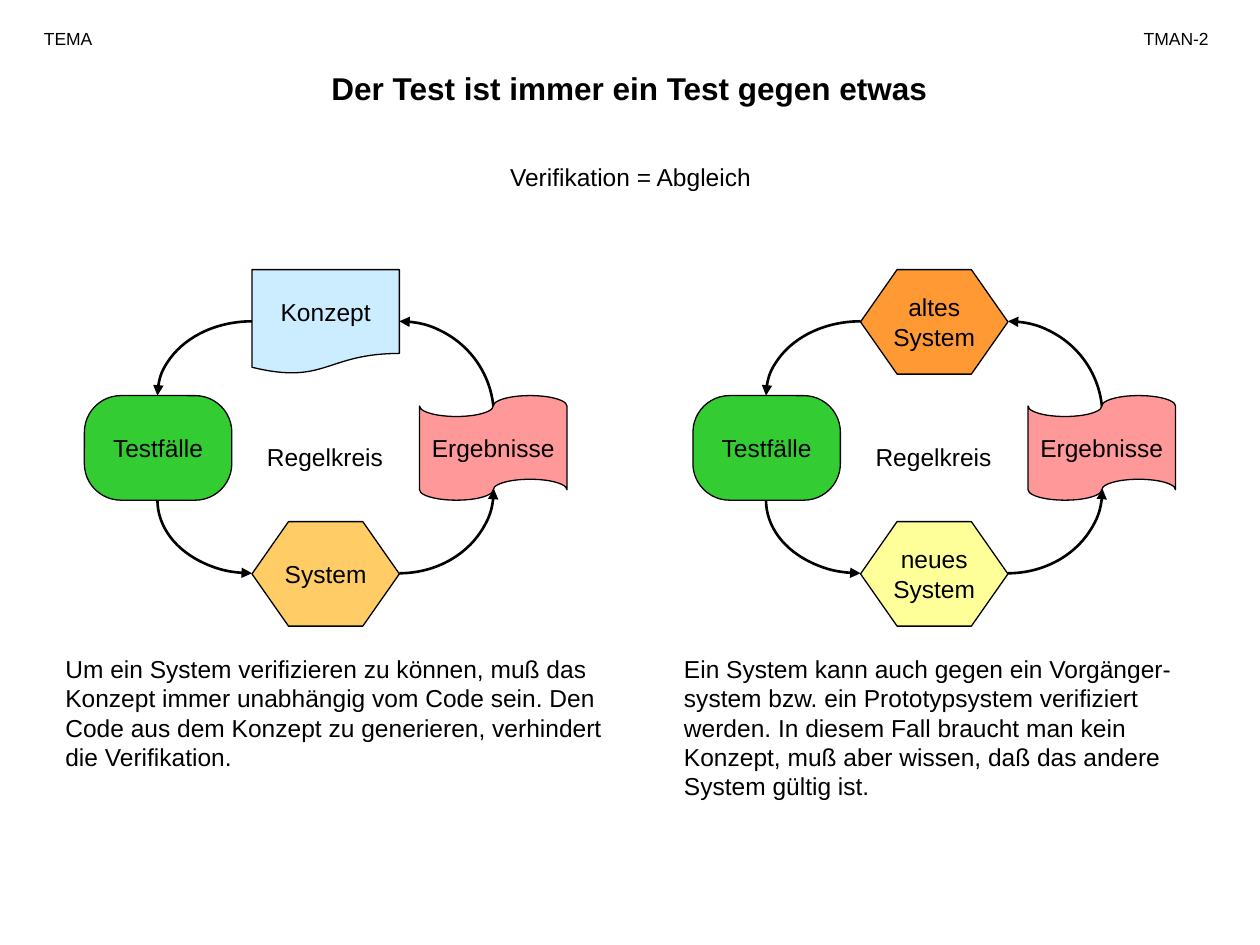
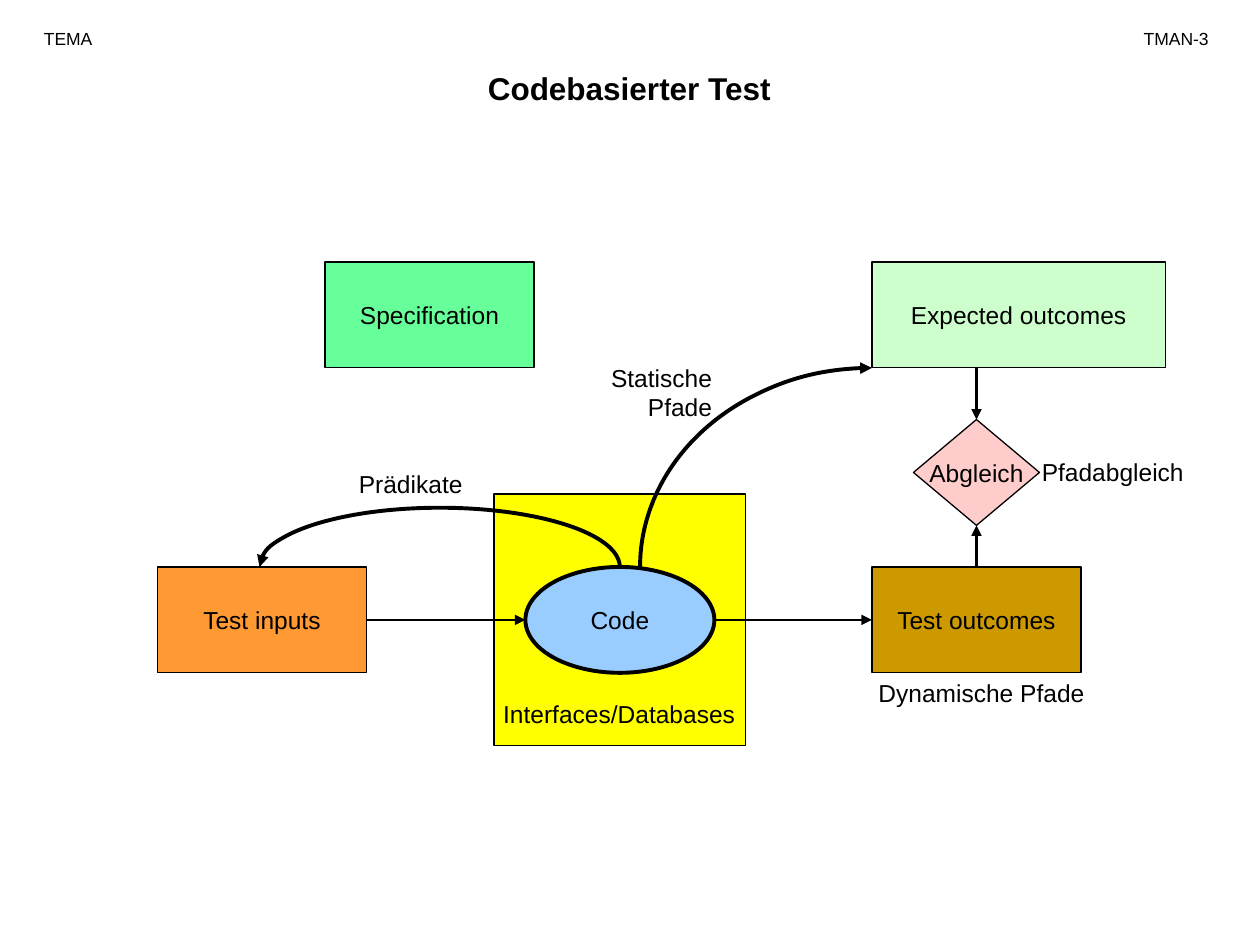
from lxml import etree
from pptx import Presentation
from pptx.dml.color import RGBColor
from pptx.enum.shapes import MSO_CONNECTOR, MSO_SHAPE
from pptx.enum.text import MSO_ANCHOR, MSO_AUTO_SIZE, PP_ALIGN
from pptx.oxml.ns import qn
from pptx.util import Inches, Pt

LEFT, CENTER, RIGHT = PP_ALIGN.LEFT, PP_ALIGN.CENTER, PP_ALIGN.RIGHT
TOP, MIDDLE = MSO_ANCHOR.TOP, MSO_ANCHOR.MIDDLE
NO_FIT = MSO_AUTO_SIZE.NONE
STRAIGHT = MSO_CONNECTOR.STRAIGHT
RECT, ELLIPSE, DIAMOND = MSO_SHAPE.RECTANGLE, MSO_SHAPE.OVAL, MSO_SHAPE.DIAMOND
HEXAGON, ROUNDED, ARC = MSO_SHAPE.HEXAGON, MSO_SHAPE.ROUNDED_RECTANGLE, MSO_SHAPE.ARC
DOCUMENT, TAPE = MSO_SHAPE.FLOWCHART_DOCUMENT, MSO_SHAPE.FLOWCHART_PUNCHED_TAPE

FONT = "Arial"
BLACK = "000000"
LOOP_BOX = (1.17, 0.83)
TEST_BOX = (1.66, 0.84)
LOOP_SHIFT = 4.83


def rgb(value):
    return RGBColor.from_string(value)


def write(tf, text, size=14, bold=False, align=CENTER, anchor=TOP, wrap=True):
    """Fill a text frame, one paragraph per line of text."""
    tf.word_wrap = wrap
    tf.auto_size = NO_FIT
    tf.vertical_anchor = anchor
    for i, line in enumerate(text.split("\n")):
        p = tf.paragraphs[0] if i == 0 else tf.add_paragraph()
        p.alignment = align
        r = p.add_run()
        r.text = line
        r.font.name, r.font.size, r.font.bold = FONT, Pt(size), bold
        r.font.color.rgb = rgb(BLACK)


def label(s, text, x, y, w, h=0.34, **fmt):
    tb = s.shapes.add_textbox(Inches(x), Inches(y), Inches(w), Inches(h))
    write(tb.text_frame, text, **fmt)


def outline(shape, width, arrow=None):
    """Black line; arrow is headEnd (at the start) or tailEnd (at the end)."""
    shape.line.color.rgb = rgb(BLACK)
    shape.line.width = Pt(width)
    if arrow:
        ln = shape.element.spPr.find(qn("a:ln"))
        etree.SubElement(ln, qn("a:" + arrow), type="triangle")


def box(s, kind, text, x, y, size, fill, line=0.75, adjust=None):
    w, h = size
    sp = s.shapes.add_shape(kind, Inches(x), Inches(y), Inches(w), Inches(h))
    sp.shadow.inherit = False
    sp.fill.solid()
    sp.fill.fore_color.rgb = rgb(fill)
    outline(sp, line)
    if adjust:
        sp.adjustments[0] = adjust
    if text:
        write(sp.text_frame, text, anchor=MIDDLE, wrap=False)
    return sp


def arc(s, cx, cy, rx, ry, start, end, width=1.5, arrow="headEnd"):
    """Clockwise elliptic arc, angles in degrees from the right."""
    sp = s.shapes.add_shape(ARC, Inches(cx - rx), Inches(cy - ry),
                            Inches(2 * rx), Inches(2 * ry))
    sp.shadow.inherit = False
    sp.fill.background()
    # Adjustments count in 100000ths, angles in 60000ths of a degree
    sp.adjustments[0], sp.adjustments[1] = start * 0.6, end * 0.6
    outline(sp, width, arrow)


def arrow(s, start, end, begin_at=None, end_at=None):
    """Straight arrow; begin_at and end_at are (shape, side) to join."""
    cn = s.shapes.add_connector(STRAIGHT, *map(Inches, start + end))
    if begin_at:
        cn.begin_connect(*begin_at)
    if end_at:
        cn.end_connect(*end_at)
    outline(cn, 1.5, "tailEnd")
    etree.SubElement(cn.element.spPr, qn("a:effectLst"))


def new_slide(prs, title, page):
    s = prs.slides.add_slide(prs.slide_layouts[5])
    t = s.shapes.title
    t.left, t.top, t.width, t.height = map(Inches, (1.33, 0.5, 7.33, 0.4))
    write(t.text_frame, title, size=18, bold=True)
    label(s, "TEMA", 0.25, 0.17, 0.92, 0.27, size=10, align=LEFT)
    label(s, page, 8.92, 0.17, 0.83, 0.27, size=10)
    return s


def control_loop(s, dx, reference, tested):
    """Four stations joined anticlockwise; the top and bottom ones vary."""
    arc(s, dx + 3.17, 3.3, 0.75, 0.75, 270, 0)
    stations = [
        (*reference, 2, 2.14),
        (*tested, 2, 4.14),
        (ROUNDED, "Testfälle", "33CC33", 0.67, 3.14),
        (TAPE, "Ergebnisse", "FF9999", 3.33, 3.14),
    ]
    for kind, text, fill, x, y in stations:
        adjust = 0.35 if kind in (HEXAGON, ROUNDED) else None
        box(s, kind, text, dx + x, y, LOOP_BOX, fill, adjust=adjust)
    label(s, "Regelkreis", dx + 1.83, 3.46, 1.5)
    arc(s, dx + 2, 3.14, 0.75, 0.59, 180, 270)
    arc(s, dx + 3.17, 3.88, 0.75, 0.67, 0, 90)
    arc(s, dx + 2, 3.97, 0.75, 0.58, 90, 180)


def verification_slide(prs):
    s = new_slide(prs, "Der Test ist immer ein Test gegen etwas", "TMAN-2")
    control_loop(s, 0, (DOCUMENT, "Konzept", "CCECFF"),
                 (HEXAGON, "System", "FFCC66"))
    control_loop(s, LOOP_SHIFT, (HEXAGON, "altes\nSystem", "FF9933"),
                 (HEXAGON, "neues\nSystem", "FFFF99"))
    label(s, "Verifikation = Abgleich", 3.67, 1.24, 2.67)
    label(s, "Um ein System verifizieren zu können, muß das Konzept immer "
          "unabhängig vom Code sein. Den Code aus dem Konzept zu generieren, "
          "verhindert die Verifikation.", 0.42, 5.14, 4.58, 1.04, align=LEFT)
    label(s, "Ein System kann auch gegen ein Vorgänger-system bzw. ein "
          "Prototypsystem verifiziert werden. In diesem Fall braucht man kein "
          "Konzept, muß aber wissen, daß das andere System gültig ist.",
          5.33, 5.14, 4.42, 1.27, align=LEFT)


def code_test_slide(prs):
    s = new_slide(prs, "Codebasierter Test", "TMAN-3")

    # Stations
    box(s, RECT, "", 3.92, 3.92, (2, 2), "FFFF00")
    box(s, ELLIPSE, "Code", 4.17, 4.5, (1.5, 0.84), "99CCFF", line=2.25)
    inputs = box(s, RECT, "Test inputs", 1.25, 4.5, TEST_BOX, "FF9933")
    outcomes = box(s, RECT, "Test outcomes", 6.92, 4.5, TEST_BOX, "CC9900")
    box(s, RECT, "Specification", 2.58, 2.08, TEST_BOX, "66FF99")
    box(s, RECT, "Expected outcomes", 6.92, 2.08, (2.33, 0.84), "CCFFCC")
    match = box(s, DIAMOND, "Abgleich", 7.25, 3.33, (1, 0.84), "FFCCCC")

    # Flow
    arrow(s, (2.92, 4.92), (4.17, 4.92), begin_at=(inputs, 3))
    arrow(s, (5.67, 4.92), (6.92, 4.92), end_at=(outcomes, 1))
    arrow(s, (7.75, 4.5), (7.75, 4.17), (outcomes, 0), (match, 2))
    arrow(s, (7.75, 2.92), (7.75, 3.33), end_at=(match, 0))
    arc(s, 3.49, 4.5, 1.43, 0.47, 180, 0, width=2.25)
    arc(s, 6.92, 4.5, 1.84, 1.58, 180, 270, width=2.25, arrow="tailEnd")

    # Labels
    label(s, "Interfaces/Databases", 3.83, 5.5, 2.17)
    label(s, "Prädikate", 2.75, 3.67, 1.5, align=LEFT)
    label(s, "Statische\nPfade", 4.17, 2.83, 1.58, 0.57, align=RIGHT)
    label(s, "Dynamische Pfade", 6.83, 5.33, 1.92)
    label(s, "Pfadabgleich", 8.17, 3.58, 1.5, align=LEFT)


def main():
    prs = Presentation()
    prs.slide_width, prs.slide_height = Inches(10), Inches(7.5)
    verification_slide(prs)
    code_test_slide(prs)
    prs.save("out.pptx")


if __name__ == "__main__":
    main()
